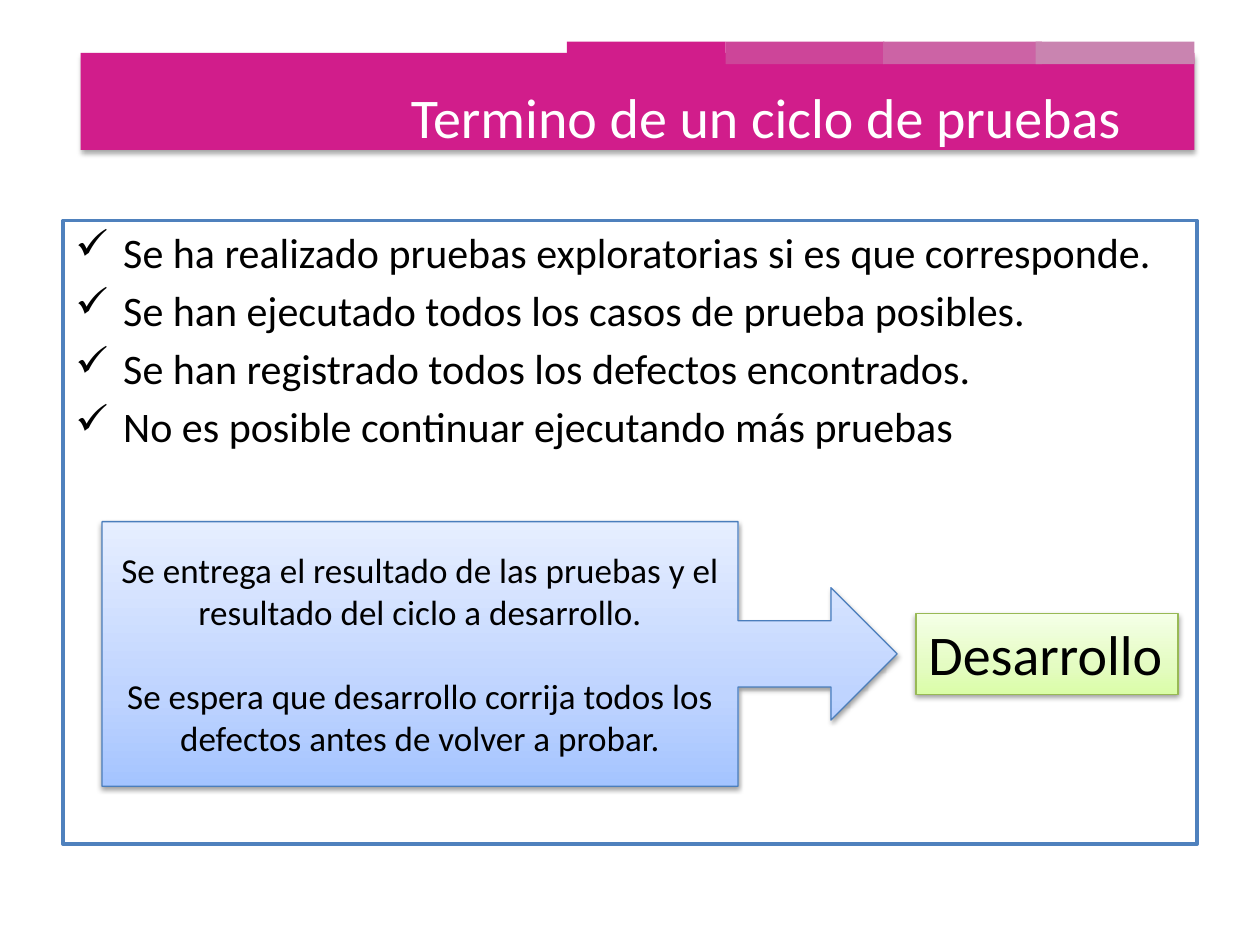
from copy import deepcopy

from lxml import etree
from pptx import Presentation
from pptx.dml.color import RGBColor
from pptx.enum.shapes import MSO_SHAPE
from pptx.enum.text import MSO_ANCHOR, MSO_AUTO_SIZE, PP_ALIGN
from pptx.oxml.ns import qn
from pptx.util import Inches, Pt

RECTANGLE = MSO_SHAPE.RECTANGLE
CALLOUT = MSO_SHAPE.RIGHT_ARROW_CALLOUT
TOP, MIDDLE = MSO_ANCHOR.TOP, MSO_ANCHOR.MIDDLE
LEFT, CENTER, RIGHT = PP_ALIGN.LEFT, PP_ALIGN.CENTER, PP_ALIGN.RIGHT

THEME = {
    "font": "Calibri",
    "title_size": 32, "bullet_size": 24, "note_size": 20,
    "text": "000000", "title": "FFFFFF", "panel": "FFFFFF", "panel_line": "4F81BD",
    "band": "D11D8B",
    "tabs": ["D11D8B", "CD4599", "CC63A5", "C984B0"],
    "blue": ["A4C4FF", "BFD4FF", "E6EEFF"], "blue_line": "4B7EBC",
    "green": ["DAFDA7", "E4FCC2", "F5FFE7"], "green_line": "98B955",
}
STOPS = [0, 0.35, 1]
CELL = Inches(0.1)  # the page is a grid of 100 columns by 75 rows


def add_block(kind, cells, fill, line=None, line_width=0.75, shadow=None):
    """Draw a shape on the grid; a list fill is a gradient rising from the
    bottom, and shadow is (opacity %, distance in points)."""
    shape = page.shapes.add_shape(kind, *(round(cell * CELL) for cell in cells))
    shape.shadow.inherit = False
    if isinstance(fill, list):
        shape.fill.gradient()
        shape.fill.gradient_angle = 90
        stop_list = shape.element.spPr.find(".//" + qn("a:gsLst"))
        stop_list.append(deepcopy(stop_list[0]))
        for stop, position, color in zip(shape.fill.gradient_stops, STOPS, fill):
            stop.position = position
            stop.color.rgb = RGBColor.from_string(color)
    else:
        shape.fill.solid()
        shape.fill.fore_color.rgb = RGBColor.from_string(fill)
    if line:
        shape.line.color.rgb = RGBColor.from_string(line)
        shape.line.width = Pt(line_width)
    else:
        shape.line.fill.background()
    if shadow:
        opacity, distance = shadow
        effects = shape.element.spPr.find(qn("a:effectLst"))
        outer = etree.SubElement(
            effects, qn("a:outerShdw"), blurRad=str(Pt(3.1)), dist=str(Pt(distance)),
            dir="5400000", rotWithShape="0")
        black = etree.SubElement(outer, qn("a:srgbClr"), val="000000")
        etree.SubElement(black, qn("a:alpha"), val=str(opacity * 1000))
    return shape


def write(box, lines, size, color, align=LEFT, anchor=MIDDLE, gap=0, bullet=None):
    frame = box.text_frame
    frame.word_wrap = True
    frame.vertical_anchor = anchor
    for index, line in enumerate(lines):
        para = frame.add_paragraph() if index else frame.paragraphs[0]
        if bullet:
            properties = para._p.get_or_add_pPr()
            properties.set("marL", str(Inches(0.38)))
            properties.set("indent", str(-Inches(0.38)))
            etree.SubElement(properties, qn("a:buChar"), char=bullet)
        para.alignment = align
        para.space_before = Pt(gap if index else 0)
        span = para.add_run()
        span.text = line
        span.font.name = THEME["font"]
        span.font.size = Pt(size)
        span.font.color.rgb = RGBColor.from_string(color)


deck = Presentation()
deck.slide_width, deck.slide_height = 100 * CELL, 75 * CELL
page = deck.slides.add_slide(deck.slide_layouts[6])

# Header band with its fading tabs
add_block(RECTANGLE, (6.4, 4.2, 88.4, 7.7), THEME["band"], shadow=(35, 1.8))
for column, color in zip([45, 57.6, 70.1, 82.2], THEME["tabs"]):
    add_block(RECTANGLE, (column, 3.3, 12.6, 1.8), color)

# Checklist panel
panel = add_block(RECTANGLE, (5, 17.5, 90, 49.5), THEME["panel"],
                  THEME["panel_line"], line_width=2)
write(panel, [
    "Se ha realizado pruebas exploratorias si es que corresponde.",
    "Se han ejecutado todos los casos de prueba posibles.",
    "Se han registrado todos los defectos encontrados.",
    "No es posible continuar ejecutando más pruebas",
], THEME["bullet_size"], THEME["text"], anchor=TOP, gap=4.4, bullet="✓")

title = page.shapes.add_textbox(0, 3 * CELL, 90 * CELL, round(12.5 * CELL))
write(title, ["Termino de un ciclo de pruebas"], THEME["title_size"],
      THEME["title"], align=RIGHT)

# Hand-over from testing to development
target = add_block(RECTANGLE, (72.7, 48.7, 20.8, 6.4), THEME["green"],
                   THEME["green_line"], shadow=(38, 1.6))
write(target, ["Desarrollo"], THEME["title_size"], THEME["text"], anchor=TOP)
target.text_frame.word_wrap = False
target.text_frame.auto_size = MSO_AUTO_SIZE.SHAPE_TO_FIT_TEXT

callout = add_block(CALLOUT, (8.1, 41.4, 63.1, 21), THEME["blue"],
                    THEME["blue_line"], shadow=(38, 1.6))
callout.adjustments[3] = 0.8
write(callout, [
    "Se entrega el resultado de las pruebas y el resultado del ciclo a desarrollo.",
    "Se espera que desarrollo corrija todos los defectos antes de volver a probar.",
], THEME["note_size"], THEME["text"], align=CENTER, gap=24)

deck.save("out.pptx")
